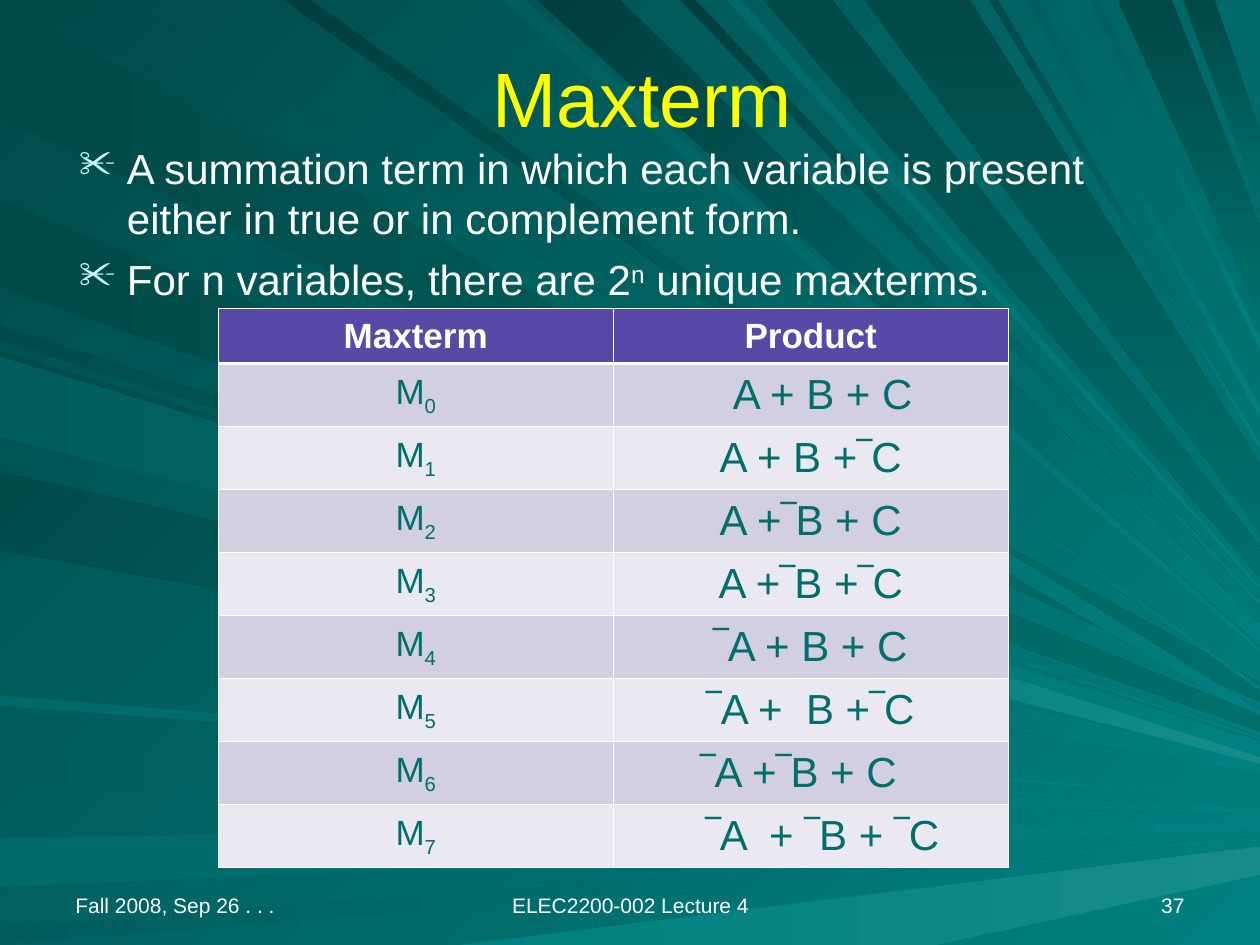
from lxml.etree import SubElement
from pptx import Presentation
from pptx.dml.color import RGBColor
from pptx.enum.text import MSO_ANCHOR, MSO_AUTO_SIZE, PP_ALIGN
from pptx.oxml.ns import qn
from pptx.util import Pt

PX = 9144

WHITE = RGBColor.from_string("FFFFFF")
YELLOW = RGBColor.from_string("FFFF00")
ICE = RGBColor.from_string("CCFFFF")
PURPLE = RGBColor.from_string("5949A6")
LILAC = RGBColor.from_string("D1CFE1")
PALE_LILAC = RGBColor.from_string("EAE9F1")
DEEP = RGBColor.from_string("003E3E")
DARK = RGBColor.from_string("004A4A")
MEDIUM = RGBColor.from_string("005D5D")
SOFT = RGBColor.from_string("006969")
TEAL = RGBColor.from_string("008080")
BRIGHT = RGBColor.from_string("178B8B")
DARK_PINE = RGBColor.from_string("004947")
PINE = RGBColor.from_string("006E6B")

LEFT_FOCUS = 650
TOP_FOCUS = 690
FOCUS_X = 1200
RAYS = [
    ("left", 2, 93, DARK_PINE, PINE),
    ("top", 26, 101, DARK, TEAL),
    ("left", 596, 623, MEDIUM, TEAL),
    ("left", 665, 704, SOFT, TEAL),
    ("left", 735, 750, MEDIUM, TEAL),
    ("left", 258, 270, DARK, TEAL),
    ("left", 159, 228, DARK_PINE, PINE),
    ("top", 398, 416, MEDIUM, TEAL),
    ("top", 426, 492, DEEP, TEAL),
    ("top", 540, 552, DEEP, TEAL),
    ("top", 606, 661, DARK_PINE, PINE),
    ("top", 887, 930, DARK_PINE, PINE),
    ("top", 939, 964, DARK_PINE, PINE),
    ("left", 278, 342, DARK, TEAL),
    ("left", 374, 437, DARK, TEAL),
    ("left", 552, 560, SOFT, TEAL),
    ("top", 225, 247, DEEP, TEAL),
    ("top", 577, 588, SOFT, TEAL),
    ("top", 686, 770, DARK_PINE, PINE),
    ("top", 785, 792, DARK, TEAL),
    ("top", 815, 824, MEDIUM, TEAL),
    ("top", 865, 872, MEDIUM, TEAL),
    ("left", 283, 347, MEDIUM, TEAL),
]


def paint(fill, start, end, angle):
    fill.gradient()
    fill.gradient_angle = 360 - angle
    for stop, color in zip(fill.gradient_stops, (start, end)):
        stop.color.rgb = color


def format_runs(paragraph, size, color, align=PP_ALIGN.LEFT, bold=False):
    paragraph.alignment = align
    for run in paragraph.runs:
        run.font.name = "Arial"
        run.font.size = Pt(size)
        run.font.bold = bold
        run.font.color.rgb = color


prs = Presentation()
prs.slide_width, prs.slide_height = 1000 * PX, 750 * PX
slide = prs.slides.add_slide(prs.slide_layouts[5])
paint(slide.background.fill, DARK, TEAL, 45)

beams = []
for edge, first, second, start, end in RAYS:
    if edge == "left":
        angle = 45 if start == DARK else 0
        near = [(0, first), (0, second)]
        far = [(1000, round(y + (LEFT_FOCUS - y) * 1000 / FOCUS_X)) for y in (second, first)]
    else:
        angle = 90 if end == PINE else 45
        near = [(first, 0), (second, 0)]
        far = [(1000, round(TOP_FOCUS * (1000 - x) / (FOCUS_X - x))) for x in (second, first)]
    beams.append((near + far, start, end, angle))
beams.append(([(364, 750), (756, 702), (1000, 672), (1000, 694), (742, 750)], TEAL, BRIGHT, 0))
beams.append(([(633, 511), (637, 485), (1000, 601), (1000, 606)], TEAL, BRIGHT, 0))

rays = slide.shapes.add_group_shape()
for points, start, end, angle in beams:
    outline = rays.shapes.build_freeform(*points[0], scale=PX)
    outline.add_line_segments(points[1:], close=True)
    ray = outline.convert_to_shape()
    ray.shadow.inherit = False
    ray.line.fill.background()
    paint(ray.fill, start, end, angle)

title = slide.shapes.title
rays.element.addnext(title.element)
title.left, title.top, title.width, title.height = 60 * PX, 24 * PX, 900 * PX, 105 * PX
title.text_frame.text = "Maxterm"
title.text_frame.vertical_anchor = MSO_ANCHOR.MIDDLE
title.text_frame.auto_size = MSO_AUTO_SIZE.NONE
format_runs(title.text_frame.paragraphs[0], 44, YELLOW, PP_ALIGN.CENTER)

definition = slide.shapes.add_textbox(53 * PX, 108 * PX, 906 * PX, 169 * PX).text_frame
definition.word_wrap = True
definition.text = (
    "A summation term in which each variable is present either in true or in complement form.\n"
    "For n variables, there are 2"
)
count = definition.paragraphs[1]
count.space_before = Pt(6)
for part in ("n", " unique maxterms."):
    count.add_run().text = part
count.runs[1].font._element.set("baseline", "30000")
for point in definition.paragraphs:
    props = point._p.get_or_add_pPr()
    props.set("marL", str(38 * PX))
    props.set("indent", str(-38 * PX))
    SubElement(SubElement(props, qn("a:buClr")), qn("a:srgbClr")).set("val", str(ICE))
    SubElement(props, qn("a:buSzPct")).set("val", "90000")
    SubElement(props, qn("a:buChar")).set("char", "✂")
    format_runs(point, 24, WHITE)

for text, left, width, align in [
    ("Fall 2008, Sep 26 . . .", 50, 233, PP_ALIGN.LEFT),
    ("ELEC2200-002 Lecture 4", 342, 317, PP_ALIGN.CENTER),
    ("37", 717, 233, PP_ALIGN.RIGHT),
]:
    footer = slide.shapes.add_textbox(left * PX, 683 * PX, width * PX, 50 * PX).text_frame
    footer.word_wrap = True
    footer.vertical_anchor = MSO_ANCHOR.BOTTOM
    footer.text = text
    format_runs(footer.paragraphs[0], 12, WHITE, align)

SUMS = [
    "A + B + C",
    "A + B +‾C",
    "A +‾B + C",
    "A +‾B +‾C",
    "‾A + B + C",
    "‾A +  B +‾C",
    "‾A +‾B + C",
    "‾A  + ‾B + ‾C",
]
maxterms = slide.shapes.add_table(9, 2, 173 * PX, 245 * PX, 627 * PX, 443 * PX).table
for column, width in zip(maxterms.columns, (314, 313)):
    column.width = width * PX
for row in maxterms.rows:
    row.height = 50 * PX
maxterms.rows[0].height = 43 * PX

for column, heading in enumerate(("Maxterm", "Product")):
    maxterms.cell(0, column).text_frame.text = heading
for index, expression in enumerate(SUMS):
    symbol = maxterms.cell(index + 1, 0).text_frame
    symbol.text = "M"
    subscript = symbol.paragraphs[0].add_run()
    subscript.text = str(index)
    subscript.font._element.set("baseline", "-25000")
    maxterms.cell(index + 1, 1).text_frame.text = expression
for index in (0, 7):
    maxterms.cell(index + 1, 1).margin_left = 29 * PX
maxterms.cell(7, 1).margin_right = 29 * PX

for r in range(9):
    for c in range(2):
        cell = maxterms.cell(r, c)
        cell.vertical_anchor = MSO_ANCHOR.MIDDLE
        for side in ("lnL", "lnR", "lnT", "lnB"):
            thick = (r, side) in ((0, "lnB"), (1, "lnT"))
            border = SubElement(cell._tc.get_or_add_tcPr(), qn(f"a:{side}"))
            border.set("w", str(Pt(1.47 if thick else 0.45)))
            SubElement(SubElement(border, qn("a:solidFill")), qn("a:srgbClr")).set("val", str(WHITE))
        cell.fill.solid()
        cell.fill.fore_color.rgb = PURPLE if r == 0 else LILAC if r % 2 else PALE_LILAC
        format_runs(cell.text_frame.paragraphs[0], 24 if r and c else 20,
                    PINE if r else WHITE, PP_ALIGN.CENTER, r == 0)

prs.save("out.pptx")
